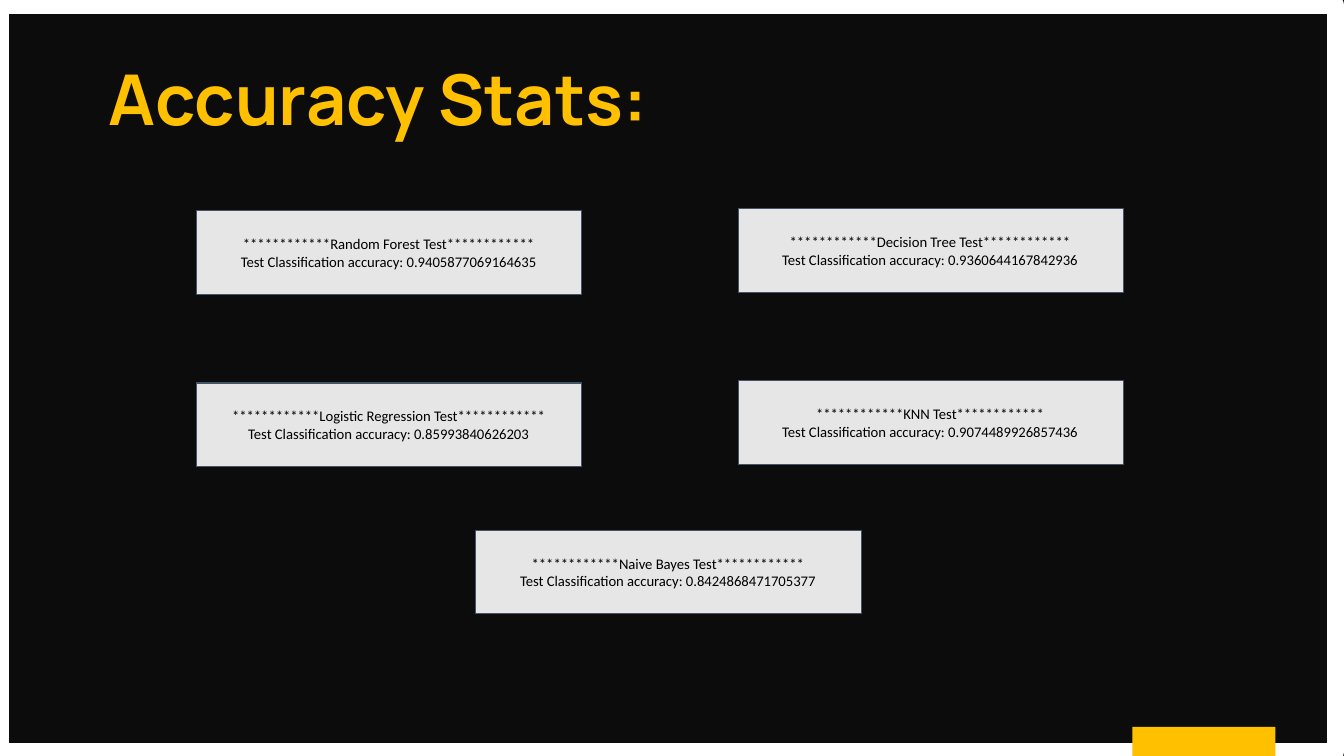
from dataclasses import dataclass

from pptx import Presentation
from pptx.dml.color import RGBColor as RGB
from pptx.enum.shapes import MSO_SHAPE as SHAPE
from pptx.enum.text import MSO_ANCHOR as ANCHOR, PP_ALIGN as ALIGN
from pptx.util import Inches, Pt


@dataclass(frozen=True)
class Theme:
    background: RGB = RGB(0x0C, 0x0C, 0x0C)
    frame: RGB = RGB(0xFF, 0xFF, 0xFF)
    accent: RGB = RGB(0xFF, 0xC0, 0x00)
    card: RGB = RGB(0xE7, 0xE6, 0xE6)
    card_line: RGB = RGB(0x44, 0x54, 0x6A)
    text: RGB = RGB(0x00, 0x00, 0x00)
    title_font: str = "Manrope"
    body_font: str = "Calibri"
    title_size: float = 50
    body_size: float = 10.5
    frame_width: float = 12.25
    card_line_width: float = 0.75


CARD_W, CARD_H = 3.82, 0.83
LABEL_DX, LABEL_DY = 0.1, 0.14
LABEL_W, LABEL_H = 3.61, 0.56
LEFT, CENTER, RIGHT = 1.95, 4.72, 7.32
STARS = "*" * 12

# model, accuracy, left, top
RESULTS = [
    ("Random Forest", "0.9405877069164635", LEFT, 2.09),
    ("Logistic Regression", "0.85993840626203", LEFT, 3.8),
    ("Naive Bayes", "0.8424868471705377", CENTER, 5.26),
    ("KNN", "0.9074489926857436", RIGHT, 3.78),
    ("Decision Tree", "0.9360644167842936", RIGHT, 2.07),
]


class SlideBuilder:
    def __init__(self, slide, theme):
        self.s = slide
        self.theme = theme
        fill = slide.background.fill
        fill.solid()
        fill.fore_color.rgb = theme.background

    def rect(self, x, y, w, h, fill=None, line=None, line_width=0):
        sp = self.s.shapes.add_shape(
            SHAPE.RECTANGLE, Inches(x), Inches(y), Inches(w), Inches(h))
        sp.shadow.inherit = False
        if fill is None:
            sp.fill.background()
        else:
            sp.fill.solid()
            sp.fill.fore_color.rgb = fill
        if line is None:
            sp.line.fill.background()
        else:
            sp.line.color.rgb = line
            sp.line.width = Pt(line_width)
        return sp

    def text(self, x, y, w, h, lines, font, size, color, bold=False,
             align=ALIGN.LEFT, spacing=None, inset_y=0.05):
        """Add a text box with one paragraph for each line."""
        sp = self.s.shapes.add_textbox(
            Inches(x), Inches(y), Inches(w), Inches(h))
        tf = sp.text_frame
        tf.word_wrap = True
        tf.vertical_anchor = ANCHOR.TOP
        tf.margin_left = tf.margin_right = Inches(0.1)
        tf.margin_top = tf.margin_bottom = Inches(inset_y)
        for i, line in enumerate(lines):
            p = tf.add_paragraph() if i else tf.paragraphs[0]
            p.alignment = align
            if spacing:
                p.line_spacing = spacing
            r = p.add_run()
            r.text = line
            r.font.name = font
            r.font.size = Pt(size)
            r.font.bold = bold
            r.font.color.rgb = color
        return sp

    def title(self, text):
        t = self.theme
        self.text(0.98, 0.6, 9.56, 1.1, [text], t.title_font, t.title_size,
                  t.accent, bold=True, spacing=0.9)

    def result_card(self, model, accuracy, x, y):
        t = self.theme
        self.rect(x, y, CARD_W, CARD_H, t.card, t.card_line, t.card_line_width)
        lines = [f"{STARS}{model} Test{STARS}",
                 f"Test Classification accuracy: {accuracy}"]
        self.text(x + LABEL_DX, y + LABEL_DY, LABEL_W, LABEL_H, lines,
                  t.body_font, t.body_size, t.text, align=ALIGN.CENTER,
                  inset_y=0.1)


def main():
    prs = Presentation()
    prs.slide_width, prs.slide_height = Inches(13.33), Inches(7.5)
    theme = Theme()
    builder = SlideBuilder(prs.slides.add_slide(prs.slide_layouts[6]), theme)
    builder.rect(0, 0.05, 13.25, 7.41, line=theme.frame,
                 line_width=theme.frame_width)
    builder.title("Accuracy Stats:")
    builder.rect(11.23, 7.21, 1.42, 0.29, fill=theme.accent)
    for result in RESULTS:
        builder.result_card(*result)
    prs.save("out.pptx")


if __name__ == "__main__":
    main()
